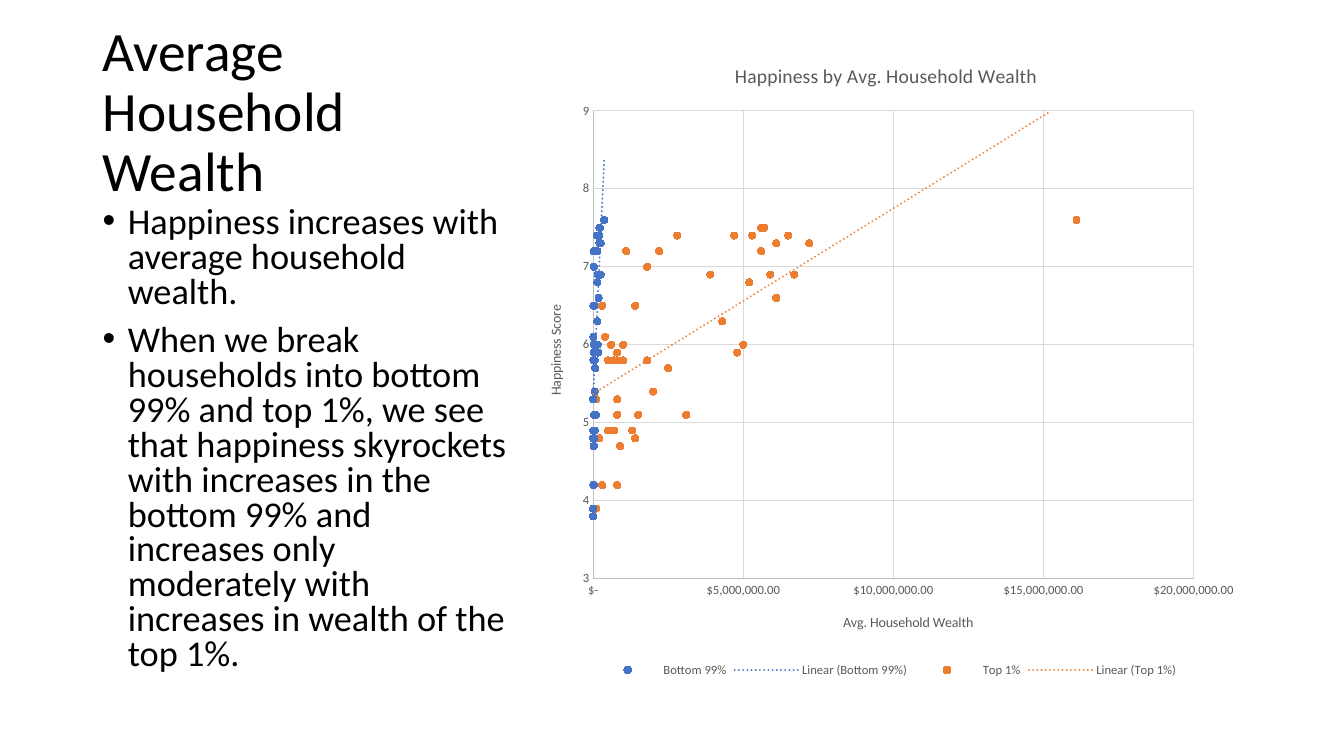
from pptx import Presentation
from pptx.chart.data import XyChartData
from pptx.dml.color import RGBColor
from pptx.enum.chart import XL_CHART_TYPE, XL_LEGEND_POSITION, XL_MARKER_STYLE, XL_TICK_MARK
from pptx.enum.text import MSO_ANCHOR
from pptx.oxml import parse_xml
from pptx.oxml.ns import nsdecls, qn
from pptx.util import Inches, Pt
from lxml.etree import SubElement

COLORS = {"text": "000000", "label": "595959", "axis": "BFBFBF", "grid": "D9D9D9",
          "Bottom 99%": "4472C4", "Top 1%": "ED7D31"}

POINTS = [
    "Happiness increases with average household wealth.",
    "When we break households into bottom 99% and top 1%, we see that happiness "
    "skyrockets with increases in the bottom 99% and increases only moderately "
    "with increases in wealth of the top 1%.",
]

# One entry per country, in the same order in all three lists
HAPPINESS = [
    7.2, 7.3, 6.9, 4.2, 7, 7.4, 7.6, 6.5, 7.2, 5.7, 6.5, 6.8, 7.5, 4.9, 5.4, 4.2, 6.3, 7.4,
    6.6, 6.9, 4.9, 6.1, 4.8, 5.8, 4.8, 6.9, 4.7, 5.9, 6, 5.3, 5.9, 5.8, 6.9, 5.1, 4.9, 7.2,
    5.8, 3.8, 5.8, 7.4, 7.5, 7.3, 5.8, 5.8, 5.1, 5.1, 7.4, 5.8, 6, 3.9, 5.3, 6]
BOTTOM_TEN_THOUSANDS = [
    14, 25, 20, 3, 2, 20, 37, 1, 2, 7, 4, 14, 22, 1, 5, 1, 14, 13,
    18, 25, 5, 1, 0, 3, 4, 16, 2, 17, 15, 0, 2, 3, 16, 4, 2, 2,
    1, 0, 1, 20, 21, 21, 1, 2, 9, 3, 14, 5, 4, 0, 1, 2]
TOP_HUNDRED_THOUSANDS = [
    56, 72, 39, 8, 18, 65, 161, 3, 11, 25, 14, 52, 56, 5, 20, 3, 43, 28,
    61, 67, 13, 4, 2, 8, 14, 59, 9, 48, 50, 1, 8, 8, 67, 15, 7, 22,
    5, 0, 5, 47, 57, 61, 10, 7, 31, 8, 53, 18, 10, 1, 8, 6]
WEALTH = {
    "Bottom 99%": [n * 10_000 for n in BOTTOM_TEN_THOUSANDS],
    "Top 1%": [n * 100_000 for n in TOP_HUNDRED_THOUSANDS],
}


def rgb(name):
    return RGBColor.from_string(COLORS[name])


class WealthSlide:
    """Style and current slide, on a grid of 19 columns between the side margins."""
    font = "Calibri"
    margin = 0.92
    column = 11.5 / 19
    row = 0.4

    def __init__(self, deck):
        self.slide = deck.slides.add_slide(deck.slide_layouts[6])

    def place(self, column, row, columns, rows):
        return (Inches(self.margin + column * self.column), Inches(row * self.row),
                Inches(columns * self.column), Inches(rows * self.row))

    def style(self, font, size, color):
        font.name, font.size, font.bold = self.font, Pt(size), False
        font.color.rgb = rgb(color)

    def text(self, cell, paragraphs, size, line_spacing, anchor=MSO_ANCHOR.TOP, bulleted=False):
        frame = self.slide.shapes.add_textbox(*self.place(*cell)).text_frame
        frame.word_wrap = True
        frame.vertical_anchor = anchor
        for index, wording in enumerate(paragraphs):
            paragraph = frame.paragraphs[0] if index == 0 else frame.add_paragraph()
            paragraph.line_spacing = line_spacing
            run = paragraph.add_run()
            run.text = wording
            self.style(run.font, size, "text")
            if bulleted:
                paragraph.space_before = Pt(10)
                self.bullet(paragraph)

    def bullet(self, paragraph):
        properties = paragraph._p.get_or_add_pPr()
        properties.set("marL", str(Inches(0.25)))
        properties.set("indent", str(-Inches(0.25)))
        SubElement(properties, qn("a:buFont")).set("typeface", "Arial")
        SubElement(properties, qn("a:buChar")).set("char", "•")

    def caption(self, frame, wording, size):
        run = frame.paragraphs[0].add_run()
        run.text = wording
        self.style(run.font, size, "label")

    def scatter(self, cell, title, wealth, happiness):
        data = XyChartData()
        for group, amounts in wealth.items():
            series = data.add_series(group)
            for amount, score in zip(amounts, happiness):
                series.add_data_point(amount, score)
        chart = self.slide.shapes.add_chart(
            XL_CHART_TYPE.XY_SCATTER, *self.place(*cell), data).chart
        self.style(chart.font, 10, "text")
        self.caption(chart.chart_title.text_frame, title, 14)
        chart.has_legend = True
        chart.legend.position = XL_LEGEND_POSITION.BOTTOM
        chart.legend.include_in_layout = False
        self.style(chart.legend.font, 9, "label")
        plot = chart.plots[0]
        plot.vary_by_categories = False
        for series in plot.series:
            self.markers(series)
            self.trend(series)
        self.plot_area(chart, x=0.1, y=0.11, w=0.82, h=0.73)
        return chart

    def markers(self, series):
        series.smooth = False
        series.format.line.fill.background()
        marker = series.marker
        marker.style, marker.size = XL_MARKER_STYLE.CIRCLE, 5
        for fill in (marker.format.fill, marker.format.line.fill):
            fill.solid()
            fill.fore_color.rgb = rgb(series.name)

    def trend(self, series):
        """Add a dotted linear trend line in the colour of the series."""
        line = parse_xml(
            f'<c:trendline {nsdecls("c", "a")}><c:spPr><a:ln w="{Pt(1.5)}" cap="rnd">'
            f'<a:solidFill><a:srgbClr val="{COLORS[series.name]}"/></a:solidFill>'
            '<a:prstDash val="sysDot"/></a:ln></c:spPr><c:trendlineType val="linear"/>'
            '<c:dispRSqr val="0"/><c:dispEq val="0"/></c:trendline>')
        series._element.find(qn("c:xVal")).addprevious(line)

    def plot_area(self, chart, **shares):
        """Fix the inner plot area as shares of the chart's size."""
        area = chart._chartSpace.chart.plotArea
        for layout in area.findall(qn("c:layout")):
            area.remove(layout)
        sizes = "".join(f'<c:{side} val="{share}"/>' for side, share in shares.items())
        area.insert(0, parse_xml(
            f'<c:layout {nsdecls("c")}><c:manualLayout><c:layoutTarget val="inner"/>'
            f'<c:xMode val="edge"/><c:yMode val="edge"/>{sizes}</c:manualLayout></c:layout>'))

    def axis(self, axis, title, low, high, step, number_format):
        axis.minimum_scale, axis.maximum_scale, axis.major_unit = low, high, step
        axis.major_tick_mark = axis.minor_tick_mark = XL_TICK_MARK.NONE
        axis.has_major_gridlines = True
        for line, color in ((axis.format.line, "axis"),
                            (axis.major_gridlines.format.line, "grid")):
            line.width = Pt(0.75)
            line.color.rgb = rgb(color)
        self.style(axis.tick_labels.font, 9, "label")
        axis.tick_labels.number_format = number_format
        axis.tick_labels.number_format_is_linked = False
        self.caption(axis.axis_title.text_frame, title, 10)


def main():
    deck = Presentation()
    deck.slide_width, deck.slide_height = Inches(13.33), Inches(7.5)
    page = WealthSlide(deck)
    page.text((0, 1, 7, 3.63), ["Average Household Wealth"], 39.6, 0.9, MSO_ANCHOR.MIDDLE)
    page.text((0, 5, 7, 11.9), POINTS, 25.9, 0.8, bulleted=True)
    chart = page.scatter((7, 1, 12, 15.9), "Happiness by Avg. Household Wealth",
                         WEALTH, HAPPINESS)
    page.axis(chart.category_axis, "Avg. Household Wealth", 0, 20_000_000, 5_000_000,
              '"$"#,##0.00;-"$"#,##0.00;"$-"')
    page.axis(chart.value_axis, "Happiness Score", 3, 9, 1, "General")
    deck.save("out.pptx")


if __name__ == "__main__":
    main()
